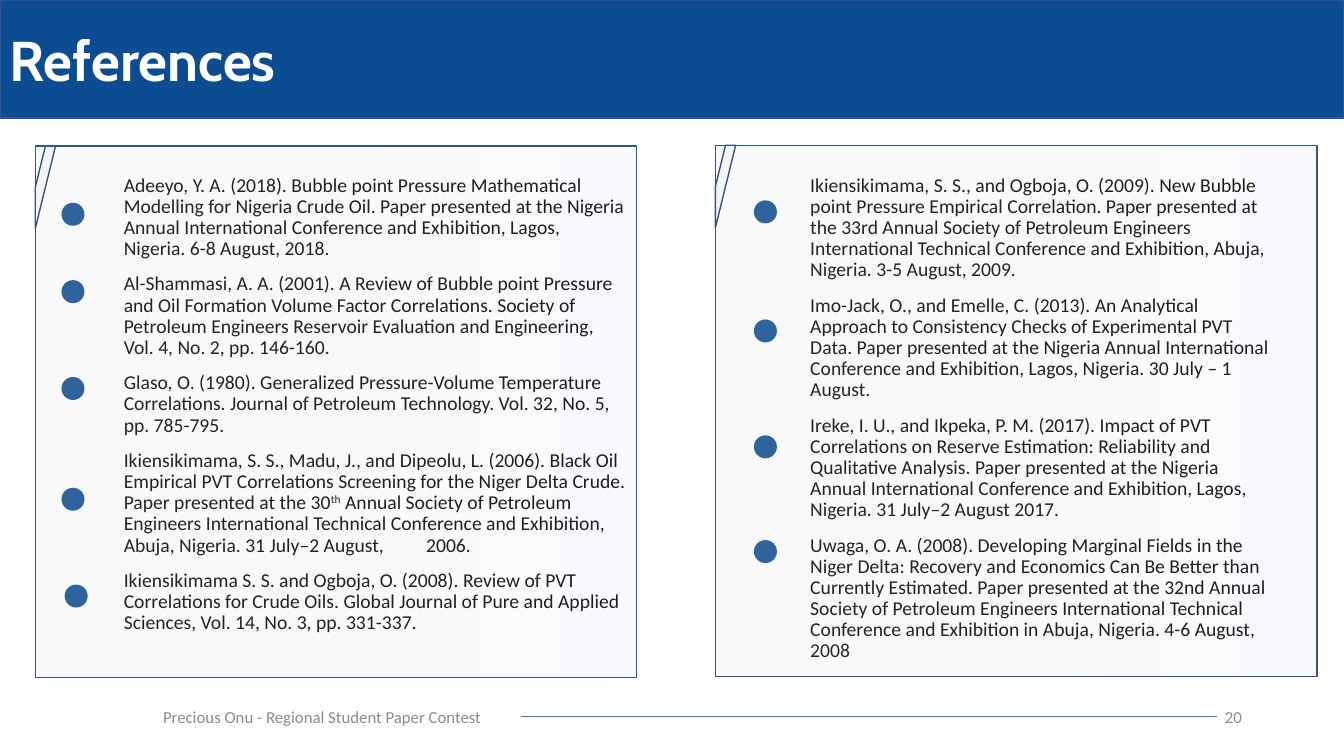
"""Build the References slide with two panels of bulleted citations."""
from dataclasses import dataclass

from lxml.etree import SubElement
from pptx import Presentation
from pptx.dml.color import RGBColor
from pptx.enum.shapes import MSO_CONNECTOR, MSO_SHAPE
from pptx.enum.text import MSO_ANCHOR, PP_ALIGN
from pptx.oxml.ns import qn
from pptx.util import Cm, Pt


@dataclass(frozen=True)
class Theme:
    blue: str = "0C4C93"
    outline: str = "325491"
    rule: str = "4472C4"
    white: str = "FFFFFF"
    black: str = "000000"
    grey: str = "8C8C8C"
    glass: tuple = ((28, "D9D9D9", 16), (100, "DAE3F3", 12), (100, "ABC0E4", 22), (100, "C7D5ED", 100))
    heading_font: str = "Cabin"
    body_font: str = "Calibri"
    heading_size: int = 40
    body_size: int = 14
    footer_size: int = 12


theme = Theme()


def add_shape(kind, left, top, width, height, outline=None):
    shape = slide.shapes.add_shape(kind, Cm(left), Cm(top), Cm(width), Cm(height))
    shape.shadow.inherit = False
    shape.fill.solid()
    shape.fill.fore_color.rgb = RGBColor.from_string(theme.blue)
    if outline:
        shape.line.color.rgb = RGBColor.from_string(outline)
        shape.line.width = Pt(1)
    else:
        shape.line.fill.background()
    return shape


def add_run(paragraph, text, size, color, font=theme.body_font):
    run = paragraph.add_run()
    run.text = text
    run.font.name = font
    run.font.size = Pt(size)
    run.font.color.rgb = RGBColor.from_string(color)
    return run


presentation = Presentation()
presentation.slide_width = Cm(33.87)
presentation.slide_height = Cm(19.05)
slide = presentation.slides.add_slide(presentation.slide_layouts[6])

banner = add_shape(MSO_SHAPE.RECTANGLE, 0, 0, 33.87, 2.98, theme.outline)
banner.text_frame.vertical_anchor = MSO_ANCHOR.MIDDLE
heading = banner.text_frame.paragraphs[0]
heading.alignment = PP_ALIGN.LEFT
add_run(heading, "References", theme.heading_size, theme.white, theme.heading_font).font.bold = True

for text, left, width, alignment in (
    ("Precious Onu - Regional Student Paper Contest", 3.86, 9.2, PP_ALIGN.LEFT),
    ("20", 23.93, 7.62, PP_ALIGN.RIGHT),
):
    footer = slide.shapes.add_textbox(Cm(left), Cm(17.55), Cm(width), Cm(1.02)).text_frame
    footer.word_wrap = True
    footer.vertical_anchor = MSO_ANCHOR.MIDDLE
    footer.paragraphs[0].alignment = alignment
    add_run(footer.paragraphs[0], text, theme.footer_size, theme.grey)

footer_rule = slide.shapes.add_connector(MSO_CONNECTOR.STRAIGHT, Cm(13.13), Cm(18.06), Cm(30.68), Cm(18.06))
footer_rule.line.color.rgb = RGBColor.from_string(theme.rule)
footer_rule.line.width = Pt(0.5)
SubElement(footer_rule._element.spPr, qn("a:effectLst"))

early_references = (
    ("Adeeyo, Y. A. (2018). Bubble point Pressure Mathematical Modelling for Nigeria Crude Oil. "
     "Paper presented at the Nigeria Annual International Conference and Exhibition, Lagos, "
     "Nigeria. 6-8 August, 2018.",),
    ("Al-Shammasi, A. A. (2001). A Review of Bubble point Pressure and Oil Formation Volume Factor "
     "Correlations. Society of Petroleum Engineers Reservoir Evaluation and Engineering, "
     "Vol. 4, No. 2, pp. 146-160.",),
    ("Glaso, O. (1980). Generalized Pressure-Volume Temperature Correlations. "
     "Journal of Petroleum Technology. Vol. 32, No. 5, pp. 785-795.",),
    ("Ikiensikimama, S. S., Madu, J., and Dipeolu, L. (2006). Black Oil Empirical PVT Correlations "
     "Screening for the Niger Delta Crude. Paper presented at the 30", "th",
     " Annual Society of Petroleum Engineers International Technical Conference and Exhibition, "
     "Abuja, Nigeria. 31 July–2 August, \t2006."),
    ("Ikiensikimama S. S. and Ogboja, O. (2008). Review of PVT Correlations for Crude Oils. "
     "Global Journal of Pure and Applied Sciences, Vol. 14, No. 3, pp. 331-337.",),
)
late_references = (
    ("Ikiensikimama, S. S., and Ogboja, O. (2009). New Bubble point Pressure Empirical Correlation. "
     "Paper presented at the 33rd Annual Society of Petroleum Engineers International Technical "
     "Conference and Exhibition, Abuja, Nigeria. 3-5 August, 2009.",),
    ("Imo-Jack, O., and Emelle, C. (2013). An Analytical Approach to Consistency Checks of "
     "Experimental PVT Data. Paper presented at the Nigeria Annual International Conference and "
     "Exhibition, Lagos, Nigeria. 30 July – 1 August.",),
    ("Ireke, I. U., and Ikpeka, P. M. (2017). Impact of PVT Correlations on Reserve Estimation: "
     "Reliability and Qualitative Analysis. Paper presented at the Nigeria Annual International "
     "Conference and Exhibition, Lagos, Nigeria. 31 July–2 August 2017.",),
    ("Uwaga, O. A. (2008). Developing Marginal Fields in the Niger Delta: Recovery and Economics "
     "Can Be Better than Currently Estimated. Paper presented at the 32nd Annual Society of "
     "Petroleum Engineers International Technical Conference and Exhibition in Abuja, Nigeria. "
     "4-6 August, 2008",),
)
early_dots = ((1.55, 5.11), (1.55, 7.06), (1.55, 9.5), (1.55, 12.29), (1.63, 14.73))
late_dots = ((19, 5.05), (19, 8.05), (19, 10.97), (19, 13.61))

for references, dots, text_left, text_width, panel_left, panel_top in (
    (early_references, early_dots, 2.87, 13.18, 0.89, 3.68),
    (late_references, late_dots, 20.17, 12.29, 18.03, 3.66),
):
    citations = slide.shapes.add_textbox(Cm(text_left), Cm(4.29), Cm(text_width), Cm(12.55)).text_frame
    citations.word_wrap = True
    for index, parts in enumerate(references):
        citation = citations.add_paragraph() if index else citations.paragraphs[0]
        citation.line_spacing = 0.9
        if index:
            citation.space_before = Pt(10)
        for part in parts:
            run = add_run(citation, part, theme.body_size, theme.black)
            if part == "th":
                run._r.get_or_add_rPr().set("baseline", "30000")

    for dot_left, dot_top in dots:
        add_shape(MSO_SHAPE.OVAL, dot_left, dot_top, 0.58, 0.58)

    for kind, width, height in (
        (MSO_SHAPE.RECTANGLE, 15.16, 13.39),
        (MSO_SHAPE.DIAGONAL_STRIPE, 0.51, 2.08),
    ):
        panel = add_shape(kind, panel_left, panel_top, width, height, theme.outline)
        panel.fill.gradient()
        panel.fill.gradient_angle = 0
        stops = panel._element.spPr.find(qn("a:gradFill")).find(qn("a:gsLst"))
        for preset_stop in list(stops):
            stops.remove(preset_stop)
        for position, color, opacity in theme.glass:
            stop = SubElement(stops, qn("a:gs"), pos=str(position * 1000))
            tint = SubElement(stop, qn("a:srgbClr"), val=color)
            SubElement(tint, qn("a:alpha"), val=str(opacity * 1000))

presentation.save("out.pptx")
